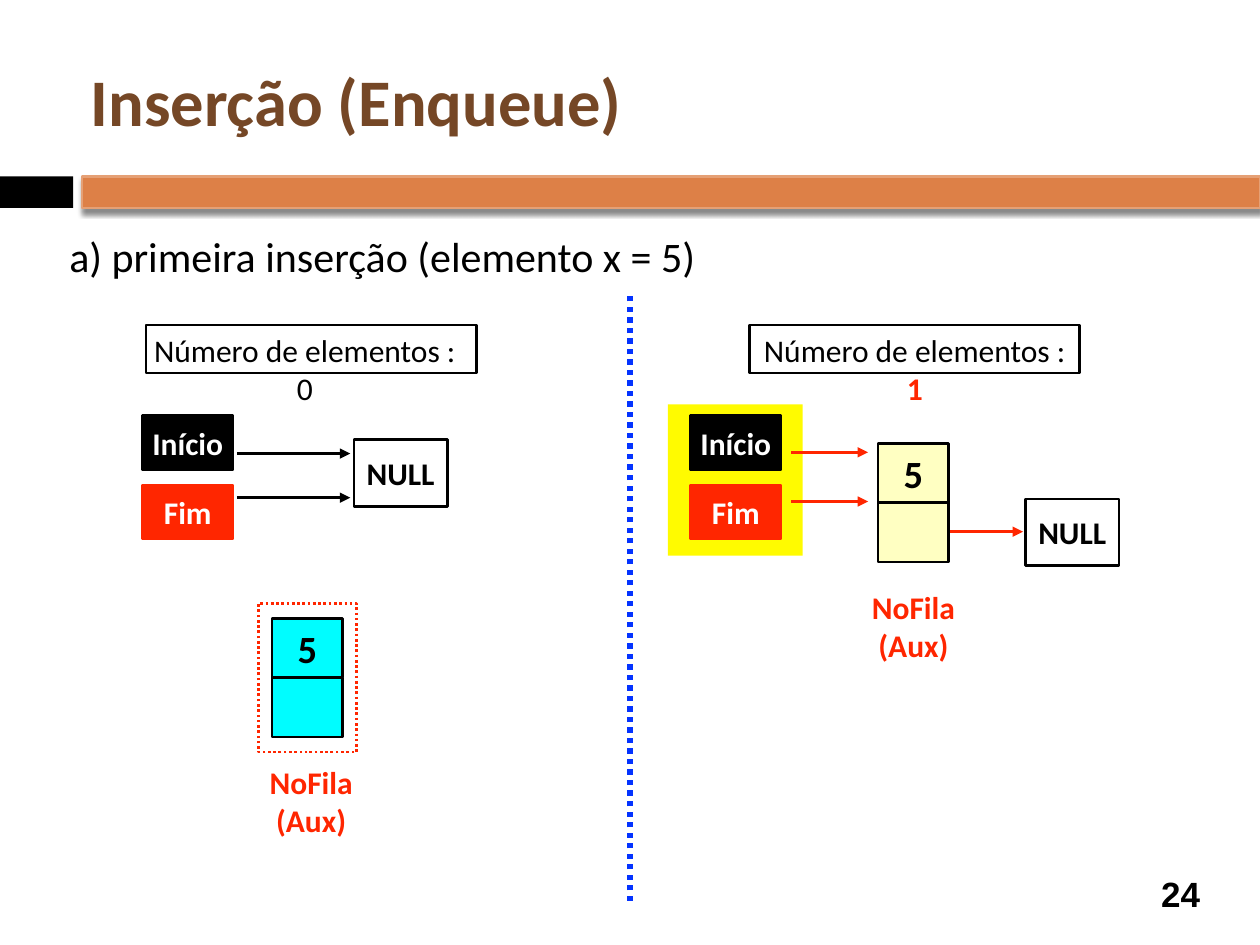
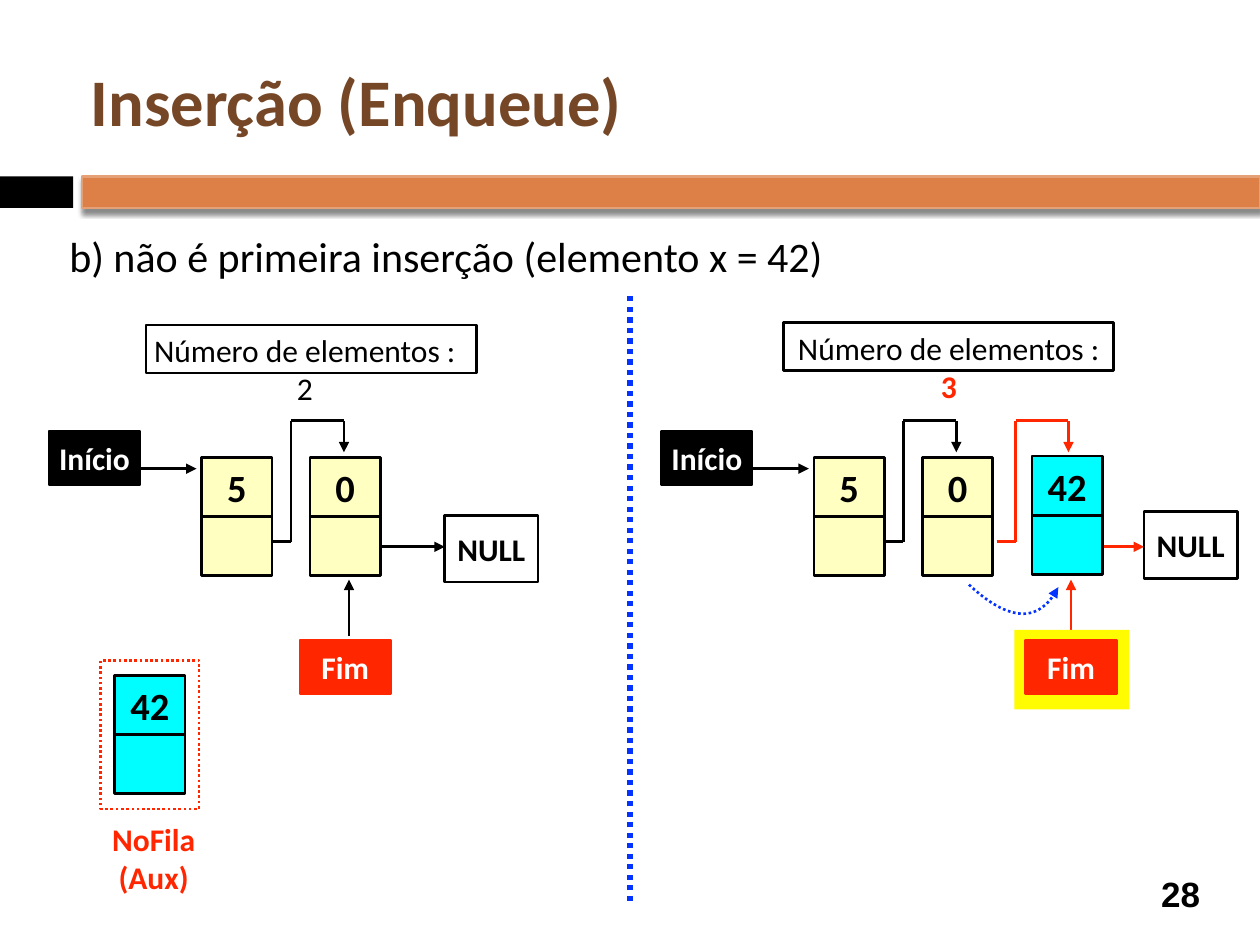
from dataclasses import dataclass

from lxml import etree
from pptx import Presentation
from pptx.dml.color import RGBColor
from pptx.enum.dml import MSO_LINE
from pptx.enum.shapes import MSO_CONNECTOR, MSO_SHAPE
from pptx.enum.text import MSO_ANCHOR, PP_ALIGN
from pptx.oxml.ns import qn
from pptx.util import Inches, Pt

RECT = MSO_SHAPE.RECTANGLE
STRAIGHT = MSO_CONNECTOR.STRAIGHT
DOTS = MSO_LINE.ROUND_DOT
TOP, MIDDLE = MSO_ANCHOR.TOP, MSO_ANCHOR.MIDDLE
LEFT, CENTER = PP_ALIGN.LEFT, PP_ALIGN.CENTER

COLS, ROWS = 100, 75
WIDTH, HEIGHT = Inches(10), Inches(7.5)
COL, ROW = WIDTH / COLS, HEIGHT / ROWS
INSET = Inches(0.05)
NODE_W, CELL_H = 5.6, 4.7
RIGHT_HALF = 48.6

BLACK, WHITE, RED, BLUE = "000000", "FFFFFF", "FF2600", "0433FF"
YELLOW, CREAM, CYAN = "FFFB00", "FFFFC2", "00FDFF"
BROWN, ORANGE, ORANGE_EDGE = "754726", "DD8047", "E5A075"


@dataclass(frozen=True)
class Area:
    x: float
    y: float
    w: float
    h: float

    def emu(self) -> tuple[int, int, int, int]:
        return (round(self.x * COL), round(self.y * ROW),
                round(self.w * COL), round(self.h * ROW))


@dataclass(frozen=True)
class Tag:
    text: str
    fill: str
    line: str
    color: str
    w: float
    h: float


START = Tag("Início", BLACK, BLACK, WHITE, 7.2, 4.3)
END = Tag("Fim", RED, RED, WHITE, 7.2, 4.3)
NULL = Tag("NULL", WHITE, BLACK, BLACK, 7.4, 5.3)


def rgb(color: str) -> RGBColor:
    return RGBColor.from_string(color)


def write(shape, *paragraphs: str, size: float = 18, color: str = BLACK,
          bold: bool = True, font: str = "Calibri", align=CENTER,
          anchor=MIDDLE, wrap: bool = True) -> None:
    tf = shape.text_frame
    tf.word_wrap = wrap
    tf.vertical_anchor = anchor
    tf.margin_left = tf.margin_right = tf.margin_top = tf.margin_bottom = INSET
    for i, text in enumerate(paragraphs):
        p = tf.add_paragraph() if i else tf.paragraphs[0]
        p.alignment = align
        add_run(p, text, size, color, bold, font)


def add_run(p, text: str, size: float, color: str, bold: bool,
            font: str = "Calibri") -> None:
    r = p.add_run()
    r.text = text
    r.font.size, r.font.bold, r.font.name = Pt(size), bold, font
    r.font.color.rgb = rgb(color)


def box(s, area: Area, fill: str = "", line: str = "", dash=None):
    shape = s.shapes.add_shape(RECT, *area.emu())
    shape.shadow.inherit = False
    if fill:
        shape.fill.solid()
        shape.fill.fore_color.rgb = rgb(fill)
    else:
        shape.fill.background()
    if line:
        stroke(shape, line, dash=dash)
    else:
        shape.line.fill.background()
    return shape


def stroke(shape, color: str, width: float = 1.5, dash=None,
           arrow: bool = False) -> None:
    shape.line.color.rgb = rgb(color)
    shape.line.width = Pt(width)
    if dash:
        shape.line.dash_style = dash
    if arrow:
        ln = shape.line._get_or_add_ln()
        etree.SubElement(ln, qn("a:tailEnd"), type="triangle")


def line(s, x1: float, y1: float, x2: float, y2: float, color: str = BLACK,
         width: float = 1.5, dash=None, arrow: bool = False) -> None:
    c = s.shapes.add_connector(STRAIGHT, round(x1 * COL), round(y1 * ROW),
                               round(x2 * COL), round(y2 * ROW))
    stroke(c, color, width, dash, arrow)
    etree.SubElement(c._element.spPr, qn("a:effectLst"))


def arrow(s, x1: float, y1: float, x2: float, y2: float,
          color: str = BLACK) -> None:
    line(s, x1, y1, x2, y2, color, arrow=True)


def label(s, area: Area, *paragraphs: str, **style) -> None:
    write(s.shapes.add_textbox(*area.emu()), *paragraphs, **style)


def tag(s, kind: Tag, x: float, y: float) -> None:
    shape = box(s, Area(x, y, kind.w, kind.h), kind.fill, kind.line)
    write(shape, kind.text, color=kind.color)


def node(s, x: float, y: float, value: str, fill: str = CREAM) -> None:
    box(s, Area(x, y + CELL_H, NODE_W, CELL_H), fill, BLACK)
    write(box(s, Area(x, y, NODE_W, CELL_H), fill, BLACK), value, size=22)


def node_label(s, center: float, y: float) -> None:
    label(s, Area(center - 4, y, 8, 6.3), "NoFila", "(Aux)", color=RED,
          anchor=TOP, wrap=False)


def new_node(s, x: float, y: float, value: str) -> None:
    node(s, x, y, value, CYAN)
    box(s, Area(x - 1.1, y - 1.2, 7.8, 11.8), line=RED, dash=DOTS)
    node_label(s, x + 3.1, y + 11)


def counter(s, x: float, y: float, count: str, changed: bool = False) -> None:
    shape = box(s, Area(x, y, 26.2, 3.8), line=BLACK)
    write(shape, "Número de elementos : ", bold=False, anchor=TOP)
    tf = shape.text_frame
    add_run(tf.paragraphs[0], count, 18, RED if changed else BLACK, changed)
    if not changed:
        tf.margin_right = 3 * INSET


def hook(s, x: float, color: str = BLACK) -> None:
    top, bottom, bend, end = 33.4, 43, x + 1.5, x + 5.7
    line(s, x, bottom, bend, bottom, color)
    line(s, bend, bottom, bend, top, color)
    line(s, bend, top, end, top, color)
    arrow(s, end, top, end, 35.9, color)


def queue(s, dx: float) -> None:
    tag(s, START, 3.9 + dx, 34.2)
    arrow(s, 11.1 + dx, 37.2, 15.6 + dx, 37.2)
    node(s, 16 + dx, 36.3, "5")
    node(s, 24.6 + dx, 36.3, "0")
    hook(s, 21.6 + dx)


def curve(s, points: list[tuple[float, float]], color: str,
          steps: int = 20) -> None:
    samples = []
    for i in range(steps + 1):
        t = i / steps
        weights = ((1 - t) ** 3, 3 * t * (1 - t) ** 2,
                   3 * t ** 2 * (1 - t), t ** 3)
        samples.append((sum(w * px for w, (px, _) in zip(weights, points)) * COL,
                        sum(w * py for w, (_, py) in zip(weights, points)) * ROW))
    builder = s.shapes.build_freeform(*map(round, samples[0]))
    builder.add_line_segments([(round(x), round(y)) for x, y in samples[1:]],
                              close=False)
    shape = builder.convert_to_shape()
    shape.shadow.inherit = False
    shape.fill.background()
    stroke(shape, color, dash=DOTS, arrow=True)


def band(s) -> None:
    box(s, Area(0, 14, 5.8, 2.5), BLACK)
    bar = box(s, Area(6.5, 14, 93.5, 2.5), ORANGE, ORANGE_EDGE)
    effects = bar._element.spPr.find(qn("a:effectLst"))
    shadow = etree.SubElement(effects, qn("a:outerShdw"), blurRad=str(Pt(3)),
                              dist=str(Pt(2.4)), dir="5400000", rotWithShape="0")
    tint = etree.SubElement(shadow, qn("a:srgbClr"), val=BLACK)
    etree.SubElement(tint, qn("a:alpha"), val="45000")


def new_slide(prs, case: str, number: int):
    s = prs.slides.add_slide(prs.slide_layouts[5])
    title = s.shapes.title
    title.left, title.top, title.width, title.height = Area(
        6.7, 2.5, 89.2, 10.8).emu()
    write(title, "Inserção (Enqueue)", size=38, color=BROWN, align=LEFT)
    band(s)
    label(s, Area(90.8, 68.9, 5.8, 4.1), str(number), size=20, font="Arial")
    label(s, Area(5, 17.8, 90, 5.5), case, size=24, bold=False, align=LEFT,
          anchor=TOP)
    line(s, 50, 71.5, 50, 23.5, BLUE, 3, DOTS)
    return s


def first_insertion(prs) -> None:
    s = new_slide(prs, "a) primeira inserção (elemento x = 5)", 24)
    counter(s, 11.6, 25.8, "0")
    counter(s, 59.5, 25.8, "1", changed=True)
    box(s, Area(53, 32.1, 10.7, 12), YELLOW)
    for x in (11.3, 54.8):
        tag(s, START, x, 33)
        tag(s, END, x, 38.5)
    for y in (36, 39.5):
        arrow(s, 18.8, y, 27.8, y)
    for y in (35.9, 39.8):
        arrow(s, 62.8, y, 68.9, y, RED)
    tag(s, NULL, 28.1, 34.9)
    new_node(s, 21.6, 49.1, "5")
    node(s, 69.7, 35.2, "5")
    node_label(s, 72.5, 46.2)
    arrow(s, 75.4, 42.2, 81.2, 42.2, RED)
    tag(s, NULL, 81.4, 39.6)


def later_insertion(prs) -> None:
    s = new_slide(prs, "b) não é primeira inserção (elemento x = 42)", 28)
    counter(s, 11.6, 25.8, "2")
    counter(s, 62.2, 25.6, "3", changed=True)
    for dx in (0, RIGHT_HALF):
        queue(s, dx)
    arrow(s, 30.1, 43.4, 35.3, 43.4)
    tag(s, NULL, 35.3, 40.9)
    arrow(s, 27.7, 50.5, 27.7, 46)
    tag(s, END, 23.8, 50.8)
    new_node(s, 9.1, 53.6, "42")
    node(s, 81.9, 36.2, "42", CYAN)
    hook(s, 79.1, RED)
    arrow(s, 87.6, 43.4, 90.8, 43.4, RED)
    tag(s, NULL, 90.8, 40.6)
    arrow(s, 85, 50.5, 85, 46, RED)
    curve(s, [(76.9, 46.4), (80.1, 49.4), (82.5, 49.5), (84, 46.6)], BLUE)
    box(s, Area(80.5, 50, 9.1, 6.3), YELLOW)
    tag(s, END, 81.4, 50.8)


def main() -> None:
    prs = Presentation()
    prs.slide_width, prs.slide_height = WIDTH, HEIGHT
    first_insertion(prs)
    later_insertion(prs)
    prs.save("out.pptx")


if __name__ == "__main__":
    main()
